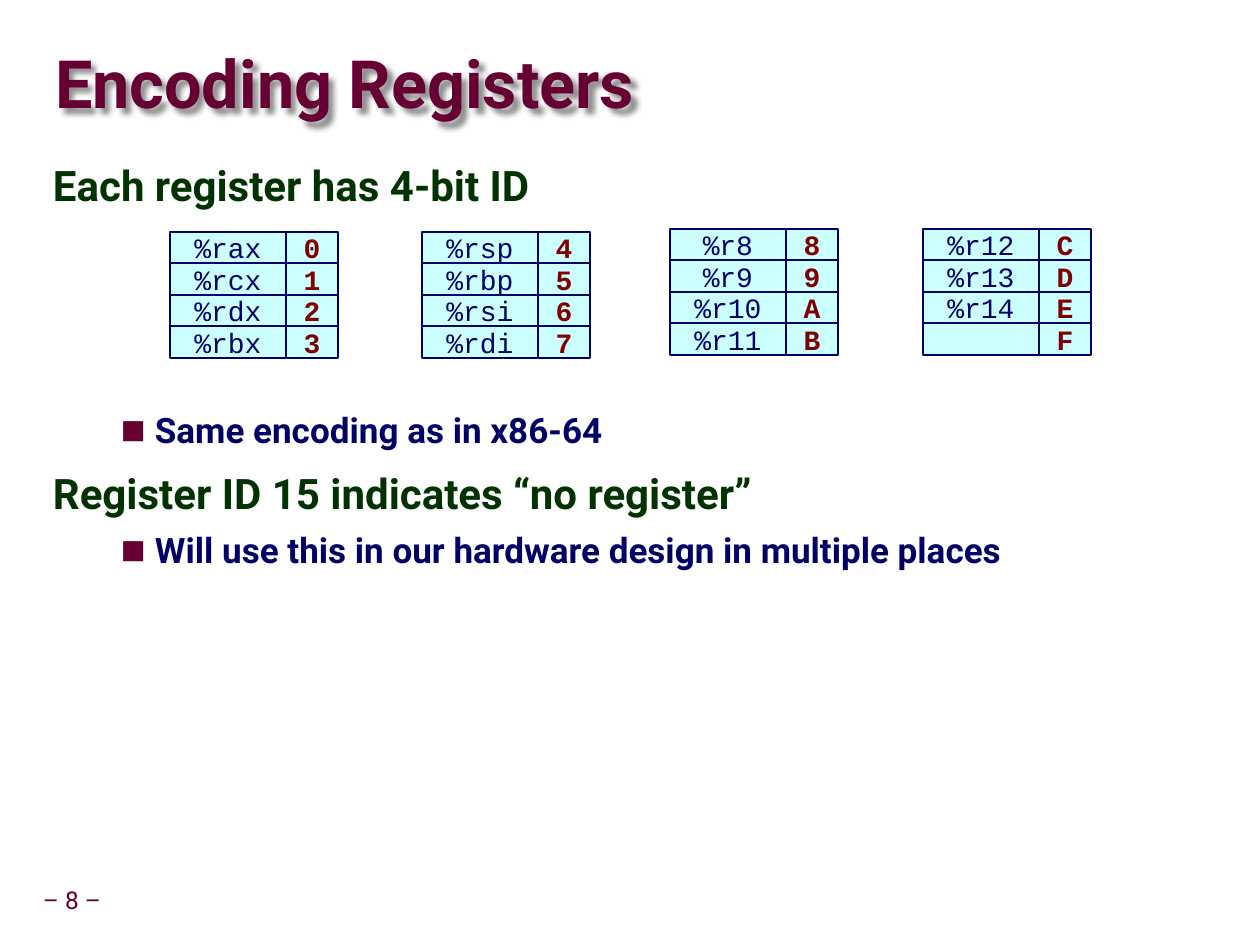
from dataclasses import dataclass

from lxml.etree import SubElement
from pptx import Presentation
from pptx.dml.color import RGBColor
from pptx.enum.shapes import MSO_SHAPE
from pptx.enum.text import MSO_ANCHOR, MSO_AUTO_SIZE, PP_ALIGN
from pptx.oxml.ns import qn
from pptx.util import Emu, Pt


@dataclass(frozen=True)
class Theme:
    wine: str = "660033"
    green: str = "003300"
    navy: str = "000066"
    red: str = "800000"
    cyan: str = "CCFFFF"
    sans: str = "Roboto"
    mono: str = "Courier New"
    title: int = 38
    head: int = 24
    item: int = 20
    code: int = 16
    foot: int = 14


THEME = Theme()

# Each bank: left, top, register names, IDs
BANKS = [
    (170, 232, ["%rax", "%rcx", "%rdx", "%rbx"], "0123"),
    (422, 232, ["%rsp", "%rbp", "%rsi", "%rdi"], "4567"),
    (670, 229, ["%r8", "%r9", "%r10", "%r11"], "89AB"),
    (923, 229, ["%r12", "%r13", "%r14", ""], "CDEF"),
]

# Each line: level, text, points before; the second leaves room for the banks
LINES = [
    (0, "Each register has 4-bit ID", 0),
    (1, "Same encoding as in x86-64", 113),
    (0, "Register ID 15 indicates “no register”", 12),
    (1, "Will use this in our hardware design in multiple places", 5),
]


def px(count):
    return Emu(round(count * 914400 / 126))


def place(shape, left, top, width, height):
    shape.left, shape.top = px(left), px(top)
    shape.width, shape.height = px(width), px(height)


def inset(frame, side, end):
    frame.margin_left = frame.margin_right = px(side)
    frame.margin_top = frame.margin_bottom = px(end)


def style(para, size, color, face=THEME.sans, bold=False):
    font = para.font
    font.name, font.size, font.bold = face, Pt(size), bold
    font.color.rgb = RGBColor.from_string(color)


def add_bullet(para):
    props = para._p.get_or_add_pPr()
    tint = SubElement(props, qn("a:buClr"))
    SubElement(tint, qn("a:srgbClr"), val=THEME.wine)
    SubElement(props, qn("a:buSzPct"), val="75000")
    SubElement(props, qn("a:buFont"), typeface=THEME.sans)
    SubElement(props, qn("a:buChar"), char="■")


def add_shadow(shape):
    effects = SubElement(shape._element.spPr, qn("a:effectLst"))
    shade = SubElement(effects, qn("a:outerShdw"), blurRad="38100",
                       dist="50800", dir="2700000", algn="tl")
    tint = SubElement(shade, qn("a:srgbClr"), val="000000")
    SubElement(tint, qn("a:alpha"), val="43000")


def fill_title(shape, box):
    place(shape, *box)
    add_shadow(shape)
    frame = shape.text_frame
    frame.auto_size = MSO_AUTO_SIZE.NONE
    frame.vertical_anchor = MSO_ANCHOR.MIDDLE
    inset(frame, 0, 0)
    para = frame.paragraphs[0]
    para.text = "Encoding Registers"
    para.alignment, para.line_spacing = PP_ALIGN.LEFT, 0.87
    style(para, THEME.title, THEME.wine, bold=True)


def fill_body(shape, box):
    place(shape, *box)
    frame = shape.text_frame
    frame.auto_size = MSO_AUTO_SIZE.NONE
    frame.vertical_anchor = MSO_ANCHOR.TOP
    inset(frame, 13, 6)
    for row, (level, text, gap) in enumerate(LINES):
        para = frame.add_paragraph() if row else frame.paragraphs[0]
        para.text, para.level = text, level
        para.space_before = Pt(gap)
        para.line_spacing = 1.0 if level else 0.95
        props = para._p.get_or_add_pPr()
        left, hang = (102, 34) if level else (53, 53)
        props.set("marL", str(px(left)))
        props.set("indent", str(px(-hang)))
        if level:
            add_bullet(para)
            style(para, THEME.item, THEME.navy, bold=True)
        else:
            SubElement(props, qn("a:buNone"))
            style(para, THEME.head, THEME.green, bold=True)


def add_cell(slide, box, text, color, bold):
    cell = slide.shapes.add_shape(MSO_SHAPE.RECTANGLE, *map(px, box))
    cell.shadow.inherit = False
    cell.fill.solid()
    cell.fill.fore_color.rgb = RGBColor.from_string(THEME.cyan)
    cell.line.color.rgb = RGBColor.from_string(THEME.navy)
    cell.line.width = Pt(1)
    if not text:
        return
    frame = cell.text_frame
    frame.word_wrap = False
    frame.vertical_anchor = MSO_ANCHOR.MIDDLE
    inset(frame, 13, 6)
    para = frame.paragraphs[0]
    para.text, para.alignment = text, PP_ALIGN.CENTER
    style(para, THEME.code, color, THEME.mono, bold)


def add_bank(slide, box, names, codes):
    left, top, width, height = box
    split = 116
    for row, (name, code) in enumerate(zip(names, codes)):
        y = top + row * height // len(names)
        deep = top + (row + 1) * height // len(names) - y
        add_cell(slide, (left, y, split, deep), name, THEME.navy, False)
        add_cell(slide, (left + split, y, width - split, deep),
                 code, THEME.red, True)


def add_footer(slide, box):
    frame = slide.shapes.add_textbox(*map(px, box)).text_frame
    frame.word_wrap = False
    frame.vertical_anchor = MSO_ANCHOR.MIDDLE
    inset(frame, 6, 6)
    para = frame.paragraphs[0]
    para.text, para.alignment = "– 8 –", PP_ALIGN.CENTER
    para.line_spacing = 0.9
    style(para, THEME.foot, THEME.wine)


def main():
    deck = Presentation()
    deck.slide_width, deck.slide_height = px(1260), px(945)
    slide = deck.slides.add_slide(deck.slide_layouts[1])
    # Title and list
    fill_title(slide.shapes.title, (55, 34, 1201, 107))
    fill_body(slide.placeholders[1], (40, 157, 1145, 731))
    # Register banks
    for left, top, names, codes in BANKS:
        add_bank(slide, (left, top, 168, 126), names, codes)
    # Page number
    add_footer(slide, (29, 882, 86, 40))
    deck.save("out.pptx")


if __name__ == "__main__":
    main()
